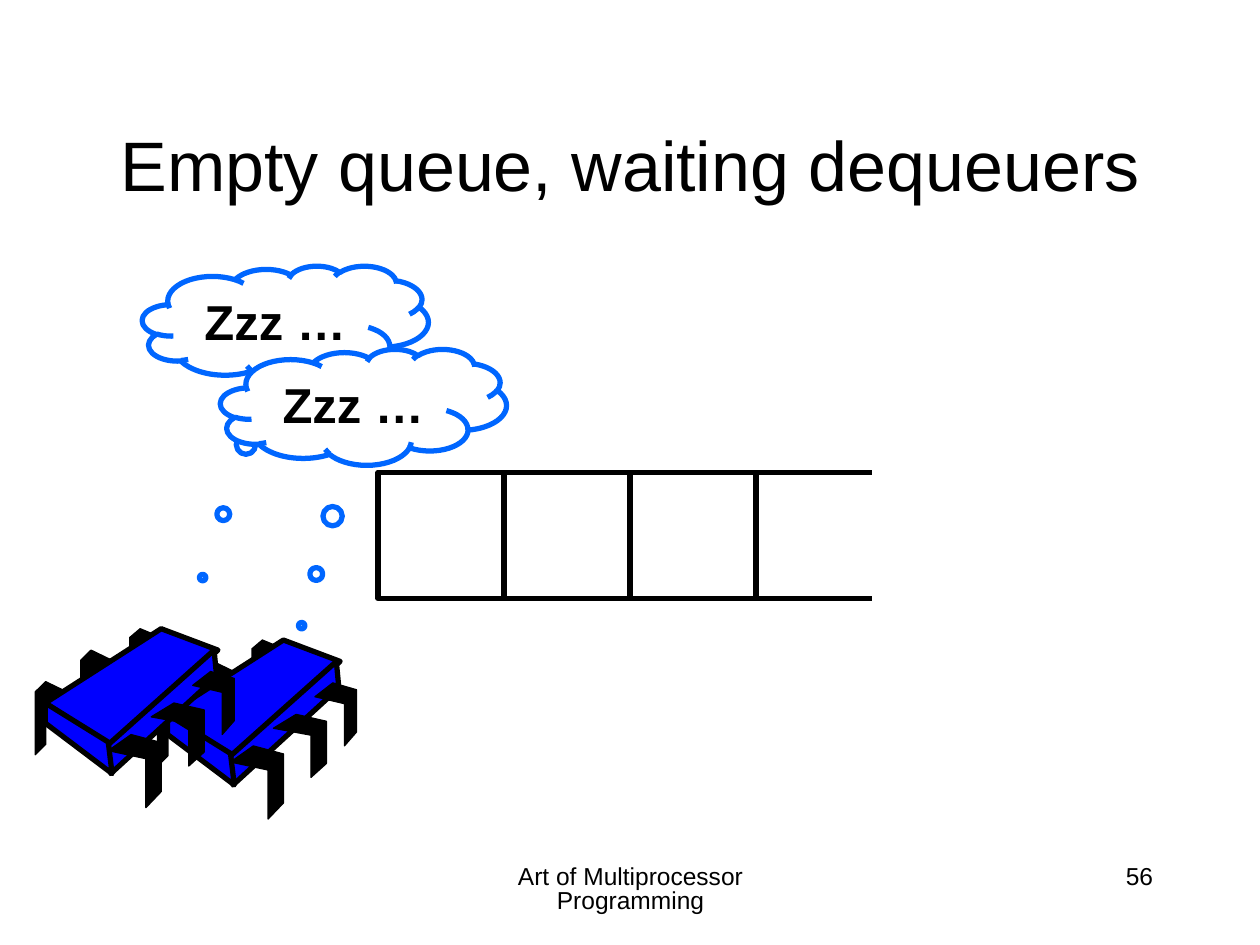
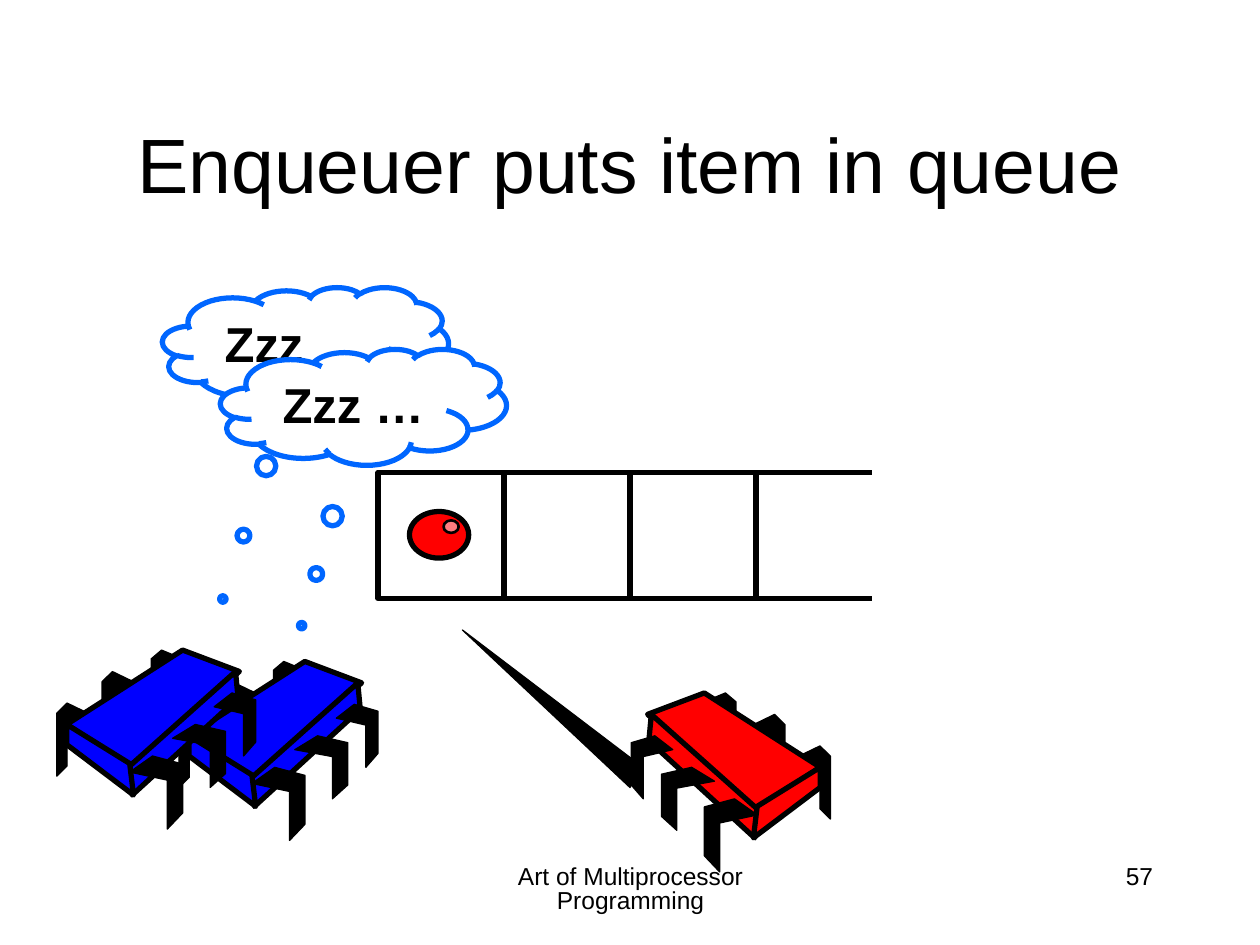
from lxml.etree import SubElement
from pptx import Presentation
from pptx.dml.color import RGBColor as RGB
from pptx.enum.shapes import MSO_CONNECTOR as CONN, MSO_SHAPE as SHAPE
from pptx.enum.text import MSO_ANCHOR as ANCHOR, MSO_AUTO_SIZE as AUTO, PP_ALIGN as ALIGN
from pptx.oxml.ns import qn
from pptx.util import Inches, Pt

COLORS = {"ink": "000000", "blue": "0000FF", "red": "FF0000", "glint": "FF7C80",
          "cloud": "0066FF", "paper": "FFFFFF"}
INK = RGB.from_string(COLORS["ink"])

prs = Presentation()
prs.slide_width, prs.slide_height = Inches(10), Inches(7.5)
U = prs.slide_width // 10  # one square of a 10 by 7.5 grid

# Chip: legs as (left, top, width, height), their outlines in shares of that box
BACK_LEG = [(1, .14), (.33, 0), (0, .14), (0, 1), (.33, .86), (.33, .29), (1, .43)]
FRONT_LEG = [(.43, 0), (0, .22), (.71, .33), (.71, 1), (1, .78), (1, .11)]
BACK_BOXES = [(0, .42, .25, .58), (.36, .17, .25, .58), (.75, 0, .25, .5)]
FRONT_BOXES = [(.58, .84, .42, .58), (.92, .59, .42, .5), (1.25, .34, .33, .5)]
FACES = [[(1, 0), (.08, .59), (.6, .93), (1.45, .17)],
         [(1.42, .17), (.58, .92), (.6, 1.15), (1.44, .38)],
         [(.08, .59), (.08, .75), (.61, 1.15), (.58, .9)]]
back_legs, front_legs = (
    [[(x + w * px, y + h * py) for px, py in outline] for x, y, w, h in boxes]
    for outline, boxes in ((BACK_LEG, BACK_BOXES), (FRONT_LEG, FRONT_BOXES)))

# Chips: (x of the outer edge, top, direction, colour)
SLIDES = [
    {"title": "Empty queue, waiting dequeuers", "size": 40, "item": False, "enqueuers": [],
     "dequeuers": [(1.25, 5.08, 1, "blue"), (.28, 4.99, 1, "blue")], "cloud": (1.13, 2.11)},
    {"title": "Enqueuer puts item in queue", "size": 44, "item": True,
     "enqueuers": [(6.59, 5.5, -1, "red")],
     "dequeuers": [(1.42, 5.25, 1, "blue"), (.45, 5.16, 1, "blue")], "cloud": (1.29, 2.28)},
]
FIRST_PAGE = 56


def paint(sp, fill=None, line="ink", width=3):
    sp.shadow.inherit = False
    if fill:
        sp.fill.solid()
        sp.fill.fore_color.rgb = RGB.from_string(COLORS[fill])
    else:
        sp.fill.background()
    sp.line.color.rgb = RGB.from_string(COLORS[line])
    sp.line.width = Pt(width)


def polygon(shapes, points, fill, width):
    pts = [(round(x * U), round(y * U)) for x, y in points]
    builder = shapes.build_freeform(*pts[0])
    builder.add_line_segments(pts[1:], close=True)
    paint(builder.convert_to_shape(), fill, width=width)


for page, data in enumerate(SLIDES, FIRST_PAGE):
    s = prs.slides.add_slide(prs.slide_layouts[5])

    # Title
    title = s.shapes.title
    for name, value in {"left": .75, "top": .67, "width": 8.5, "height": 1.25}.items():
        setattr(title, name, round(value * U))
    tf = title.text_frame
    tf.text = data["title"]
    tf.auto_size, tf.vertical_anchor = AUTO.NONE, ANCHOR.MIDDLE
    p = tf.paragraphs[0]
    p.alignment = ALIGN.CENTER
    for name, value in {"name": "Arial", "size": Pt(data["size"])}.items():
        setattr(p.font, name, value)
    p.font.color.rgb = INK

    # Footer and page number
    for text, left, width, align in [
            ("Art of Multiprocessor Programming", 3.42, 3.17, ALIGN.CENTER),
            (str(page), 7.17, 2.08, ALIGN.RIGHT)]:
        box = s.shapes.add_textbox(*(round(v * U) for v in (left, 6.83, width, .5)))
        tf = box.text_frame
        tf.word_wrap = True
        p = tf.paragraphs[0]
        p.text, p.alignment, p.line_spacing = text, align, .8
        for name, value in {"name": "Arial", "size": Pt(14)}.items():
            setattr(p.font, name, value)
        p.font.color.rgb = INK

    # Queued item
    if data["item"]:
        item = s.shapes.add_group_shape()
        for box, fill, width in [((3.25, 4.06, .47, .37), "red", 3),
                                 ((3.52, 4.13, .12, .1), "glint", 1.5)]:
            paint(item.shapes.add_shape(SHAPE.OVAL, *(round(v * U) for v in box)), fill, width=width)

    # Queue cells and open end
    for col in (3, 4, 5):
        paint(s.shapes.add_shape(SHAPE.RECTANGLE, col * U, round(3.75 * U), U, U))
    for y in (3.75, 4.75):
        edge = s.shapes.add_connector(CONN.STRAIGHT, *(round(v * U) for v in (5.92, y, 6.92, y)))
        edge.line.color.rgb = INK
        edge.line.width = Pt(3)
        SubElement(edge.element.spPr, qn("a:effectLst"))

    # Chips, with the arm of the enqueuer
    for x0, y0, way, color in data["enqueuers"] + data["dequeuers"]:
        chip = s.shapes.add_group_shape()
        for outlines, fill, width in [(back_legs, "ink", .75), (FACES, color, 3),
                                      (front_legs, "ink", .75)]:
            for outline in outlines:
                polygon(chip.shapes, [(x0 + way * x, y0 + y) for x, y in outline], fill, width)
        if way < 0:
            polygon(s.shapes, [(5, 6.25), (5.09, 6.08), (3.67, 5)], "ink", .75)

    # Thought clouds
    for (x, y), fill, tail in [(data["cloud"], None, (-.289, 2.189)),
                               ((1.75, 2.77), "paper", (-.216, 1.886))]:
        cloud = s.shapes.add_shape(SHAPE.CLOUD_CALLOUT, *(round(v * U) for v in (x, y, 2.27, .92)))
        cloud.adjustments[0], cloud.adjustments[1] = tail
        paint(cloud, fill, "cloud")
        tf = cloud.text_frame
        tf.vertical_anchor = ANCHOR.MIDDLE
        p = tf.paragraphs[0]
        p.text, p.alignment = "Zzz …", ALIGN.CENTER
        for name, value in {"name": "Arial", "size": Pt(28), "bold": True}.items():
            setattr(p.font, name, value)
        p.font.color.rgb = INK

prs.save("out.pptx")
